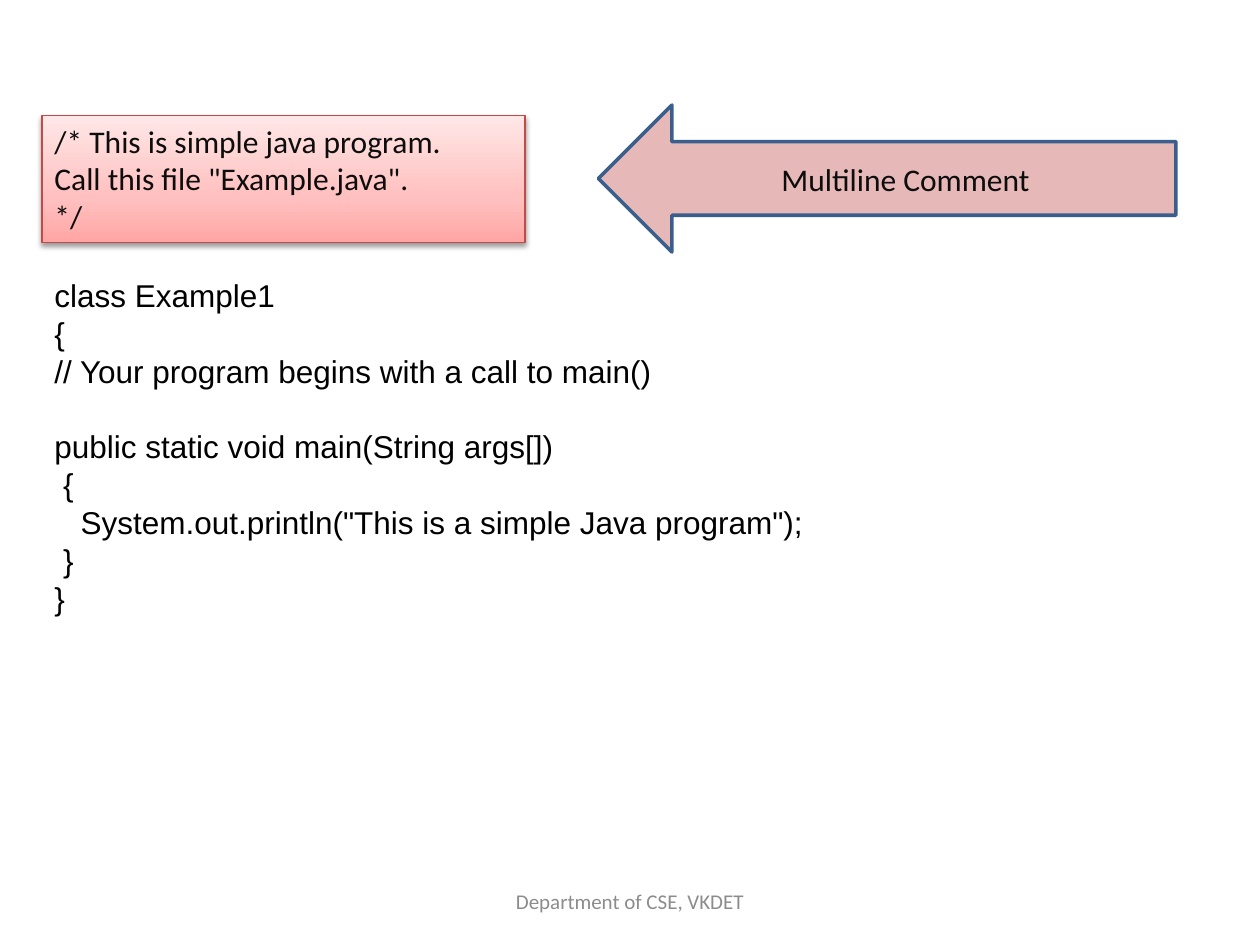
from lxml import etree
from pptx import Presentation
from pptx import util as u
from pptx.dml.color import RGBColor
from pptx.enum import shapes, text
from pptx.oxml.ns import qn

INK = "0D0D0D"
LINE = 21.65


def rgb(value):
    return RGBColor.from_string(value)


def sub(parent, tag, **attrs):
    return etree.SubElement(parent, qn(tag), {k: str(v) for k, v in attrs.items()})


def write(sp, lines, size, font, color, align=text.PP_ALIGN.LEFT,
          anchor=text.MSO_ANCHOR.TOP):
    tf = sp.text_frame
    tf.word_wrap = True
    tf.vertical_anchor = anchor
    tf.text = "\n".join(lines)
    for p in tf.paragraphs:
        p.alignment = align
        p.font.size = u.Pt(size)
        p.font.name = font
        p.font.color.rgb = rgb(color)
    return tf


def add_box(s, kind, at, line, width):
    sp = s.shapes.add_shape(kind, *map(u.Pt, at))
    sp.shadow.inherit = False
    sp.line.color.rgb = rgb(line)
    sp.line.width = u.Pt(width)
    return sp


def add_textbox(s, at):
    return s.shapes.add_textbox(*map(u.Pt, at))


def set_gradient(sp, stops, angle):
    sp.fill.gradient()
    sp.fill.gradient_angle = angle
    gs_list = sp.element.spPr.find(".//" + qn("a:gsLst"))
    for gs in list(gs_list):
        gs_list.remove(gs)
    for pos, color in stops:
        gs = sub(gs_list, "a:gs", pos=pos * 1000)
        sub(gs, "a:srgbClr", val=color)


def set_shadow(sp, color, alpha, blur, dist, angle):
    effects = sp.element.spPr.find(qn("a:effectLst"))
    shadow = sub(effects, "a:outerShdw", blurRad=int(u.Pt(blur)), dist=int(u.Pt(dist)),
                 dir=angle * 60000, rotWithShape=0)
    clr = sub(shadow, "a:srgbClr", val=color)
    sub(clr, "a:alpha", val=alpha * 1000)


def add_code(s, at, top, rows):
    sp = add_textbox(s, at)
    tf = write(sp, [row[0] for row in rows], 18, "Arial", "000000")
    tf.margin_top = u.Pt(top)
    for p, (_, indent, gap) in zip(tf.paragraphs, rows):
        p.line_spacing = u.Pt(LINE)
        p.space_before = u.Pt(gap)
        p._p.get_or_add_pPr().set("marL", str(int(u.Pt(indent))))


def add_comment(s, at, lines):
    sp = add_box(s, shapes.MSO_SHAPE.RECTANGLE, at, "BF4C48", 0.75)
    set_gradient(sp, [(0, "FFA6A5"), (35, "FFC0BF"), (100, "FFE7E7")], 90)
    set_shadow(sp, "000000", 38, 3.1, 1.6, 90)
    write(sp, lines, 18, "Calibri", INK)


def add_arrow(s, at, label):
    sp = add_box(s, shapes.MSO_SHAPE.LEFT_ARROW, at, "3A5F8C", 2)
    sp.fill.solid()
    sp.fill.fore_color.rgb = rgb("E6B9B8")
    write(sp, [label], 18, "Calibri", INK, text.PP_ALIGN.CENTER, text.MSO_ANCHOR.MIDDLE)


def add_footer(s, at, label):
    write(add_textbox(s, at), [label], 12, "Calibri", "8C8C8C",
          text.PP_ALIGN.CENTER, text.MSO_ANCHOR.MIDDLE)


def main():
    prs = Presentation()
    prs.slide_width, prs.slide_height = u.Pt(720), u.Pt(540)
    s = prs.slides.add_slide(prs.slide_layouts[6])
    add_code(s, (24, 132, 618, 225), 25.6, [
        ("class Example1", 0, 0),
        ("{", 0, 0),
        ("// Your program begins with a call to main()", 0, 0),
        ("public static void main(String args[])", 0, LINE),
        ("{", 5, 0),
        ('System.out.println("This is a simple Java program");', 15, 0),
        ("}", 5, 0),
        ("}", 0, 0),
    ])
    add_comment(s, (24, 66, 276, 72.7), [
        "/* This is simple java program.",
        'Call this file "Example.java".',
        "*/",
    ])
    add_arrow(s, (342, 60, 330, 84), "Multiline Comment")
    add_footer(s, (246, 500.5, 228, 28.75), "Department of CSE, VKDET")
    prs.save("out.pptx")


if __name__ == "__main__":
    main()
